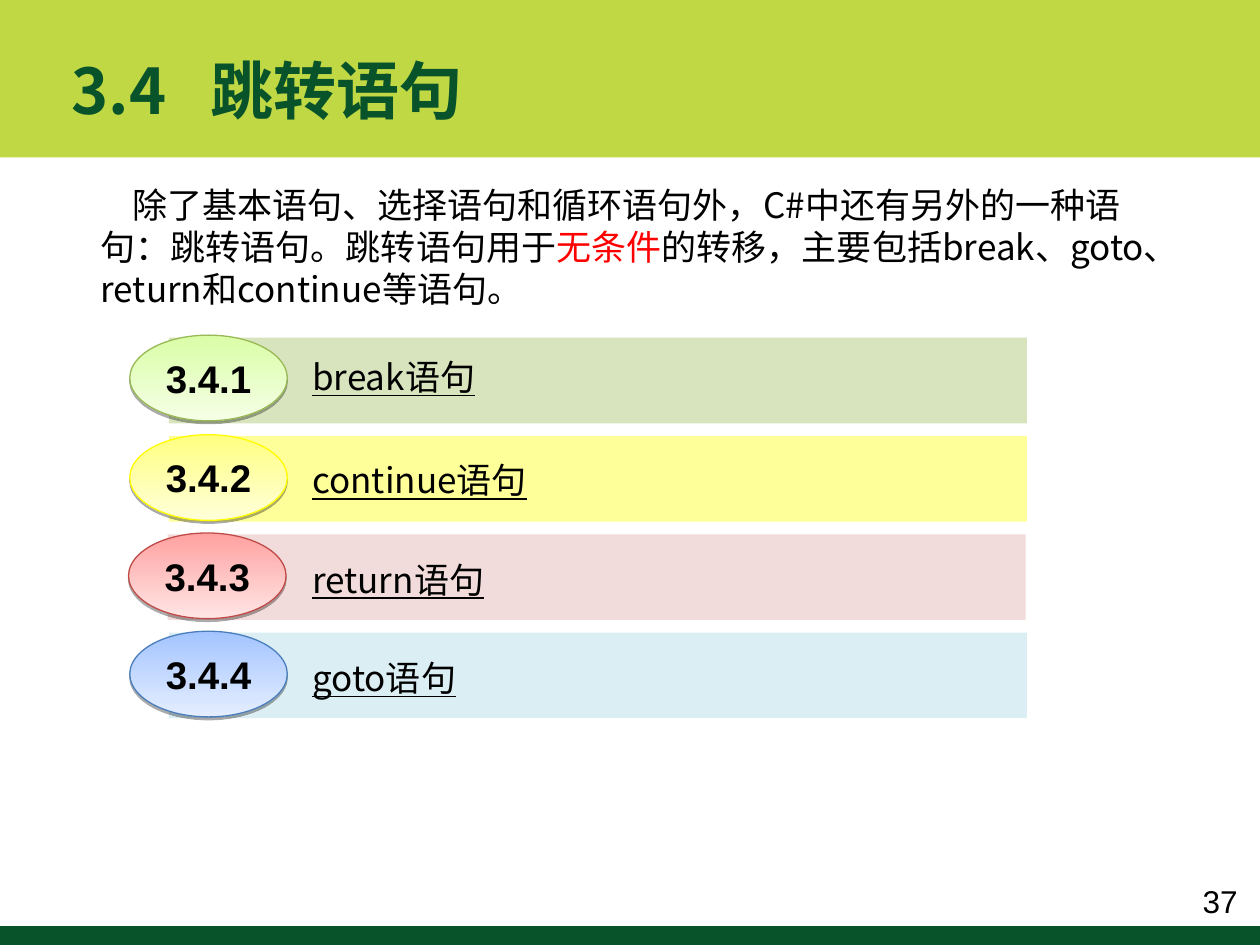
from lxml.etree import SubElement
from pptx import Presentation
from pptx.dml.color import RGBColor
from pptx.enum.shapes import MSO_SHAPE
from pptx.enum.text import MSO_ANCHOR, PP_ALIGN
from pptx.oxml.ns import qn
from pptx.util import Inches, Pt

LIME = RGBColor(0xBF, 0xD8, 0x44)
FOREST = RGBColor(0x09, 0x53, 0x2A)
BLACK = RGBColor(0, 0, 0)
RED = RGBColor(0xFF, 0, 0)
CJK, LATIN = "Noto Sans CJK SC", "Arial"

# Content
TITLE = "3.4\t跳转语句"
INTRO = [
    ("除了基本语句、选择语句和循环语句外，C#中还有另外的一种语句：跳转语句。跳转语句用于", BLACK),
    ("无条件", RED),
    ("的转移，主要包括break、goto、return和continue等语句。", BLACK),
]
# number, label, bar, badge top, badge bottom, badge outline
SECTIONS = [
    ("3.4.1", "break语句", "D7E4BD", "DAFDA7", "F5FFE6", "98B954"),
    ("3.4.2", "continue语句", "FFFF99", "FFFF80", "FFFFDA", "FFFF00"),
    ("3.4.3", "return语句", "F2DCDB", "FFA2A1", "FFE5E5", "BE4B48"),
    ("3.4.4", "goto语句", "DBEEF4", "A3C4FF", "E5EEFF", "4A7EBB"),
]
# Per row: left shift of bar and badge, badge rise, label drop
ROW_OFFSETS = [(0, 0.02, 0.09), (0, 0.01, 0.13), (-0.01, 0.01, 0.14), (0, 0.01, 0.14)]
PAGE_NUMBER = "37"

# Layout in inches
SLIDE_W, SLIDE_H = 10, 7.5
HEADER_H, FOOTER_H = SLIDE_H / 6, SLIDE_H / 50
ROWS_TOP, ROW_PITCH, ROW_H = 2.68, 0.78, 0.68
BAR_LEFT, BAR_W = 1.34, 6.81
BADGE_LEFT, BADGE_W = 1.03, 1.25
LABEL_LEFT, LABEL_W, LABEL_H = 2.38, 3.44, 0.44

prs = Presentation()
prs.slide_width, prs.slide_height = Inches(SLIDE_W), Inches(SLIDE_H)
slide = prs.slides.add_slide(prs.slide_layouts[6])


def add_block(preset, left, top, width, height, color=None):
    block = slide.shapes.add_shape(
        preset, Inches(left), Inches(top), Inches(width), Inches(height))
    block.shadow.inherit = False
    if color is not None:
        block.fill.solid()
        block.fill.fore_color.rgb = color
        block.line.fill.background()
    return block


def write(shape, runs, size=20, font=CJK, color=BLACK, bold=False, underline=False,
          align=PP_ALIGN.LEFT, anchor=MSO_ANCHOR.TOP, first_indent=0, tab=None):
    frame = shape.text_frame
    frame.word_wrap = True
    frame.vertical_anchor = anchor
    paragraph = frame.paragraphs[0]
    paragraph.alignment = align
    props = paragraph._p.get_or_add_pPr()
    props.set("hangingPunct", "0")
    if first_indent:
        props.set("marL", "0")
        props.set("indent", str(Inches(first_indent)))
    if tab:
        stops = SubElement(props, qn("a:tabLst"))
        SubElement(stops, qn("a:tab"), pos=str(Inches(tab)), algn="l")
    for text, run_color in [(runs, color)] if isinstance(runs, str) else runs:
        run = paragraph.add_run()
        run.text = text
        run.font.size, run.font.name = Pt(size), font
        run.font.bold, run.font.underline = bold, underline
        run.font.color.rgb = run_color
        SubElement(run._r.get_or_add_rPr(), qn("a:ea"), typeface=font)


def add_text(left, top, width, height, runs, **style):
    box = slide.shapes.add_textbox(
        Inches(left), Inches(top), Inches(width), Inches(height))
    write(box, runs, **style)


def add_badge(left, top, number, start, end, outline):
    badge = add_block(MSO_SHAPE.OVAL, left, top, BADGE_W, ROW_H)
    badge.fill.gradient()
    badge.fill.gradient_angle = 270
    for stop, color in zip(badge.fill.gradient_stops, (start, end)):
        stop.color.rgb = RGBColor.from_string(color)
    badge.line.color.rgb = RGBColor.from_string(outline)
    badge.line.width = Pt(0.75)
    # Hard drop shadow below the badge
    effects = badge._element.spPr.find(qn("a:effectLst"))
    shadow = SubElement(effects, qn("a:outerShdw"), blurRad="0",
                        dist=str(Pt(1.6)), dir="5400000", rotWithShape="0")
    shade = SubElement(shadow, qn("a:srgbClr"), val="000000")
    SubElement(shade, qn("a:alpha"), val="33000")
    write(badge, number, size=22, font=LATIN, bold=True,
          align=PP_ALIGN.CENTER, anchor=MSO_ANCHOR.MIDDLE)


# Header and footer bands
add_block(MSO_SHAPE.RECTANGLE, 0, 0, SLIDE_W, HEADER_H, LIME)
add_block(MSO_SHAPE.RECTANGLE, 0, SLIDE_H - FOOTER_H, SLIDE_W, FOOTER_H, FOREST)

# Title and introduction
add_text(0.47, 0.23, 6.8, 0.95, TITLE, size=36, color=FOREST, bold=True,
         anchor=MSO_ANCHOR.MIDDLE, tab=1.1)
add_text(0.7, 1.41, 8.83, 1.1, INTRO, first_indent=0.25)

# Section rows: bar, numbered badge, label
for row, (section, offsets) in enumerate(zip(SECTIONS, ROW_OFFSETS)):
    number, label, bar, start, end, outline = section
    shift, rise, drop = offsets
    top = ROWS_TOP + row * ROW_PITCH
    add_block(MSO_SHAPE.RECTANGLE, BAR_LEFT + shift, top, BAR_W, ROW_H,
              RGBColor.from_string(bar))
    add_badge(BADGE_LEFT + shift, top - rise, number, start, end, outline)
    add_text(LABEL_LEFT, top + drop, LABEL_W, LABEL_H, label, underline=True)

# Page number
add_text(7.59, 6.95, 2.33, 0.4, PAGE_NUMBER, size=18, font=LATIN,
         align=PP_ALIGN.RIGHT)

prs.save("out.pptx")
